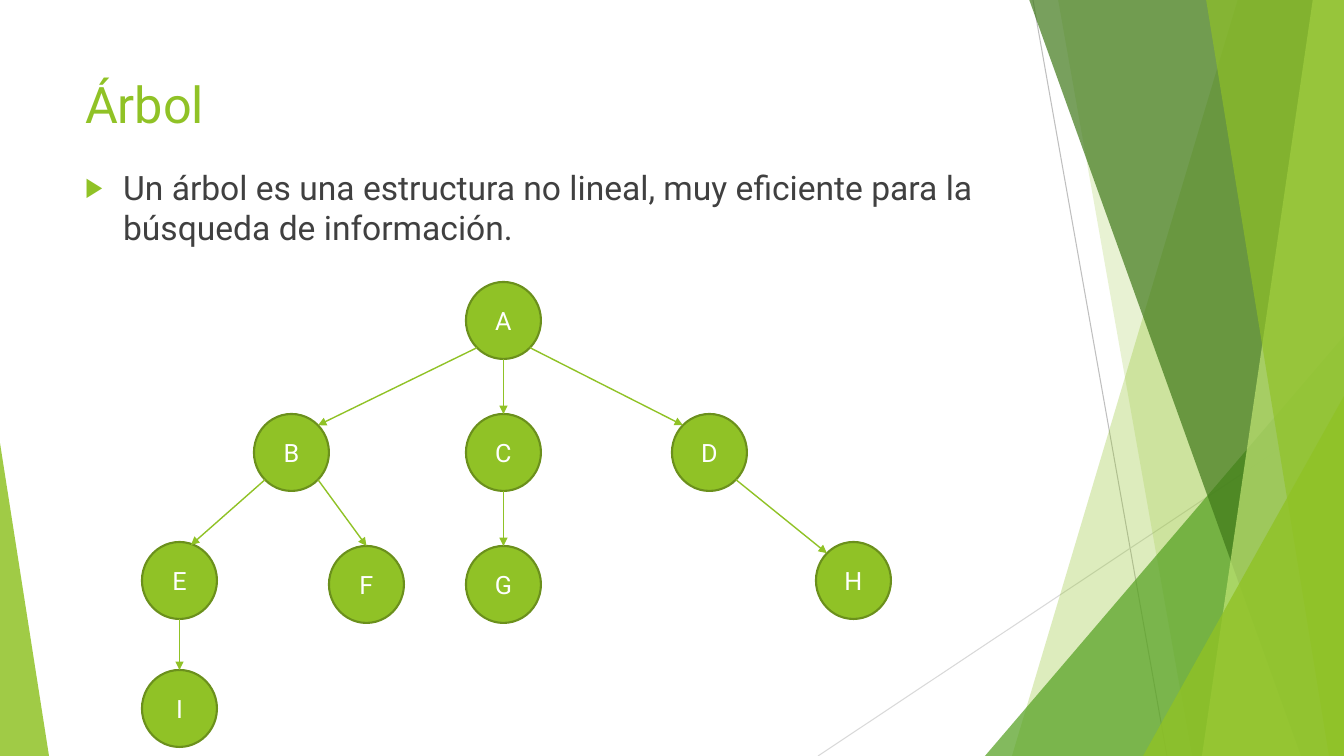
from typing import NamedTuple, Optional

from lxml import etree
from pptx import Presentation
from pptx.dml.color import RGBColor
from pptx.enum.shapes import MSO_CONNECTOR, MSO_SHAPE
from pptx.enum.text import MSO_ANCHOR, MSO_AUTO_SIZE, PP_ALIGN
from pptx.oxml.ns import qn
from pptx.util import Pt

WIDTH, HEIGHT = 1344, 756
SCALE = 12192000 / WIDTH
FONT = "Roboto"
COLORS = {
    "lime": "90C226", "green": "54A021", "forest": "3F7819", "pale": "C0E474",
    "outline": "6B901C", "text": "404040", "white": "FFFFFF",
    "gray": "BFBFBF", "light_gray": "D9D9D9",
}
NODE_W, NODE_H = 75, 77


class Guide(NamedTuple):
    start: tuple[int, int]
    end: tuple[int, int]
    color: str


class Facet(NamedTuple):
    points: list[tuple[int, int]]
    color: str
    alpha: int


class Wedge(NamedTuple):
    left: int
    top: int
    width: int
    apex: int  # 0 puts the apex on the left, 1 on the right
    color: str
    alpha: int


class Node(NamedTuple):
    left: int
    top: int


class Edge(NamedTuple):
    parent: str
    parent_site: int
    child: str
    child_site: Optional[int]
    tip: tuple[int, int] = (0, 0)  # offset in the child when no site is used


# Ellipse connection sites as fractions of the node box
NEAR, FAR = 0.146, 0.854
TOP, TOP_LEFT, BOTTOM_LEFT, BOTTOM, BOTTOM_RIGHT = 0, 1, 3, 4, 5
SITES = {
    TOP: (0.5, 0), TOP_LEFT: (NEAR, NEAR), BOTTOM_LEFT: (NEAR, FAR),
    BOTTOM: (0.5, 1), BOTTOM_RIGHT: (FAR, FAR), 7: (FAR, NEAR),
}
TOP_RIGHT = 7

GUIDES = [
    Guide((1033, 0), (1167, HEIGHT), "gray"),
    Guide((WIDTH, 406), (818, HEIGHT), "light_gray"),
]


def facet(top_x: int, bottom_x: int, color: str, alpha: int) -> Facet:
    """Band from a slanted left edge to the right edge of the slide."""
    return Facet([(top_x, -1), (WIDTH, -1), (WIDTH, HEIGHT), (bottom_x, HEIGHT)],
                 color, alpha)


DECOR = [
    facet(1238, 1012, "lime", 30),
    facet(1058, 1192, "lime", 20),
    Wedge(985, 336, 359, 1, "green", 72),
    facet(1029, 1301, "forest", 70),
    facet(1313, 1202, "pale", 70),
    facet(1206, 1329, "lime", 65),
    Wedge(1143, 396, 201, 1, "lime", 80),
    Wedge(0, 443, 49, 0, "lime", 85),
]
NODES = {
    "A": Node(466, 282), "B": Node(254, 414), "C": Node(466, 414),
    "D": Node(672, 414), "E": Node(142, 542), "F": Node(329, 546),
    "I": Node(142, 670), "G": Node(466, 546), "H": Node(816, 542),
}
EDGES = [
    Edge("A", BOTTOM_LEFT, "B", TOP_RIGHT),
    Edge("B", BOTTOM_LEFT, "E", None, (49, 3)),
    Edge("B", BOTTOM_RIGHT, "F", TOP),
    Edge("A", BOTTOM, "C", TOP),
    Edge("A", BOTTOM_RIGHT, "D", TOP_LEFT),
    Edge("D", BOTTOM_RIGHT, "H", TOP_LEFT),
    Edge("C", BOTTOM, "G", TOP),
    Edge("E", BOTTOM, "I", TOP),
]


def px(value: float) -> int:
    return round(value * SCALE)


def rgb(name: str) -> RGBColor:
    return RGBColor.from_string(COLORS[name])


def set_text(shape, text: str, size: int, color: str, align, anchor):
    frame = shape.text_frame
    frame.auto_size = MSO_AUTO_SIZE.NONE
    frame.word_wrap = True
    frame.vertical_anchor = anchor
    paragraph = frame.paragraphs[0]
    paragraph.alignment = align
    run = paragraph.add_run()
    run.text = text
    run.font.name, run.font.size = FONT, Pt(size)
    run.font.color.rgb = rgb(color)
    return paragraph


def place(shape, left: int, top: int, width: int, height: int) -> None:
    shape.left, shape.top = px(left), px(top)
    shape.width, shape.height = px(width), px(height)


def add_line(shapes, start, end, color: str, width: float):
    line = shapes.add_connector(MSO_CONNECTOR.STRAIGHT, *map(px, (*start, *end)))
    line.line.color.rgb = rgb(color)
    line.line.width = Pt(width)
    etree.SubElement(line.element.spPr, qn("a:effectLst"))
    return line


def add_decor(shapes, part: Facet | Wedge) -> None:
    if isinstance(part, Facet):
        builder = shapes.build_freeform(*part.points[0], scale=SCALE)
        builder.add_line_segments(part.points[1:], close=True)
        shape = builder.convert_to_shape()
    else:
        shape = shapes.add_shape(
            MSO_SHAPE.ISOSCELES_TRIANGLE,
            *map(px, (part.left, part.top, part.width, HEIGHT - part.top)))
        shape.adjustments[0] = part.apex
    shape.shadow.inherit = False
    shape.line.fill.background()
    shape.fill.solid()
    shape.fill.fore_color.rgb = rgb(part.color)
    color = next(shape.element.spPr.iter(qn("a:srgbClr")))
    etree.SubElement(color, qn("a:alpha"), val=str(part.alpha * 1000))


def add_node(shapes, label: str, node: Node):
    shape = shapes.add_shape(MSO_SHAPE.OVAL,
                             *map(px, (node.left, node.top, NODE_W, NODE_H)))
    shape.shadow.inherit = False
    shape.fill.solid()
    shape.fill.fore_color.rgb = rgb("lime")
    shape.line.color.rgb = rgb("outline")
    shape.line.width = Pt(1.5)
    set_text(shape, label, 18, "white", PP_ALIGN.CENTER, MSO_ANCHOR.MIDDLE)
    return shape


def site_point(node: Node, site: int) -> tuple[float, float]:
    x, y = SITES[site]
    return node.left + x * NODE_W, node.top + y * NODE_H


def add_edge(shapes, edge: Edge, ovals: dict) -> None:
    child = NODES[edge.child]
    if edge.child_site is None:
        end = (child.left + edge.tip[0], child.top + edge.tip[1])
    else:
        end = site_point(child, edge.child_site)
    start = site_point(NODES[edge.parent], edge.parent_site)
    arrow = add_line(shapes, start, end, "lime", 1)
    etree.SubElement(arrow.element.spPr.find(qn("a:ln")), qn("a:tailEnd"), type="triangle")
    # Glue the arrow to its nodes
    glue = arrow.element.find(".//" + qn("p:cNvCxnSpPr"))
    for tag, label, site in (("a:stCxn", edge.parent, edge.parent_site),
                             ("a:endCxn", edge.child, edge.child_site)):
        if site is not None:
            etree.SubElement(glue, qn(tag), id=str(ovals[label].shape_id), idx=str(site))


def add_bullet(paragraph, char: str, indent: int) -> None:
    props = paragraph._p.get_or_add_pPr()
    props.set("marL", str(px(indent)))
    props.set("indent", str(-px(indent)))
    color = etree.SubElement(props, qn("a:buClr"))
    etree.SubElement(color, qn("a:srgbClr"), val=COLORS["lime"])
    etree.SubElement(props, qn("a:buSzPct"), val="80000")
    etree.SubElement(props, qn("a:buChar"), char=char)


prs = Presentation()
prs.slide_width, prs.slide_height = px(WIDTH), px(HEIGHT)
slide = prs.slides.add_slide(prs.slide_layouts[1])
shapes = slide.shapes
title, body = shapes.title, slide.placeholders[1]

# Background decoration
for guide in GUIDES:
    add_line(shapes, guide.start, guide.end, guide.color, 0.75)
for part in DECOR:
    add_decor(shapes, part)

# Title and definition, in front of the decoration
for holder in (title, body):
    shapes.element.append(holder.element)
place(title, 75, 68, 948, 81)
set_text(title, "Árbol", 36, "lime", PP_ALIGN.LEFT, MSO_ANCHOR.TOP)
place(body, 75, 162, 948, 504)
definition = set_text(
    body, "Un árbol es una estructura no lineal, muy eficiente para la "
    "búsqueda de información.", 24, "text", PP_ALIGN.LEFT, MSO_ANCHOR.TOP)
definition.space_before = Pt(10)
add_bullet(definition, "▶", 38)

# Tree
ovals = {label: add_node(shapes, label, node) for label, node in NODES.items()}
for edge in EDGES:
    add_edge(shapes, edge, ovals)

prs.save("out.pptx")
